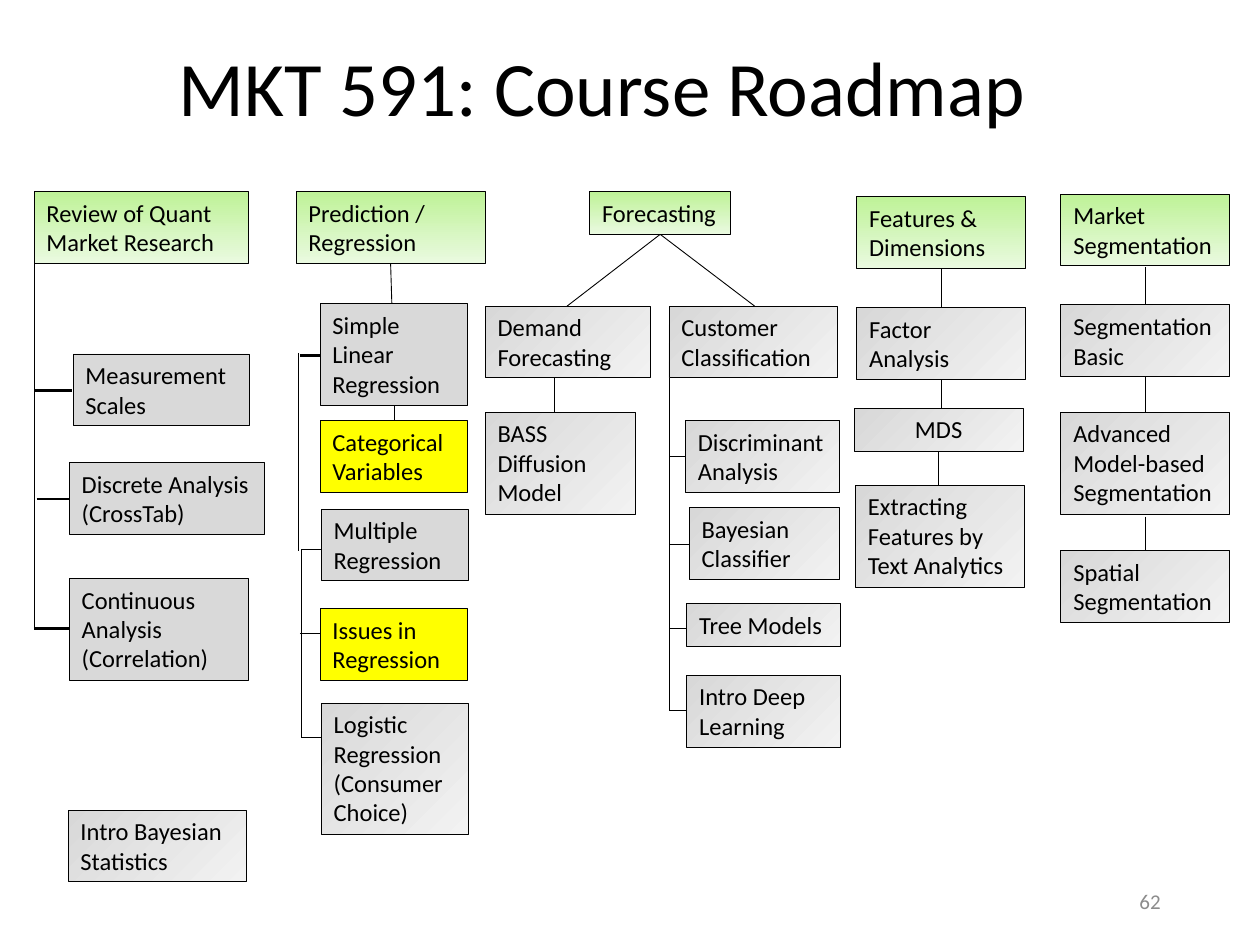
import pptx
import pptx.util
import pptx.dml.color
import pptx.enum.shapes
import pptx.enum.text
import pptx.oxml.ns
from lxml import etree

Inches = pptx.util.Inches
Pt = pptx.util.Pt
Align = pptx.enum.text.PP_ALIGN
Anchor = pptx.enum.text.MSO_ANCHOR

FONT = "Calibri"
COLORS = {
    "ink": "000000",
    "page": "8C8C8C",
    "flat": "D9D9D9",
    "mark": "FFFF00",
    "head": ("BEF297", "EAFAE0", 270),
    "soft": ("D8D8D8", "F2F2F2", 315),
}
HEIGHTS = {1: 0.34, 2: 0.57, 3: 0.81, 4: 1.04}

BOXES = [
    ("head", 0.27, 1.52, 1.7, 2, "Review of Quant Market Research"),
    ("flat", 0.58, 2.81, 1.4, 2, "Measurement Scales"),
    ("flat", 0.55, 3.67, 1.55, 2, "Discrete Analysis (CrossTab)"),
    ("flat", 0.55, 4.59, 1.42, 3, "Continuous Analysis (Correlation)"),
    ("soft", 0.54, 6.43, 1.42, 2, "Intro Bayesian Statistics"),
    ("head", 2.35, 1.52, 1.5, 2, "Prediction / Regression"),
    ("flat", 2.54, 2.41, 1.17, 3, "Simple Linear Regression"),
    ("mark", 2.54, 3.34, 1.17, 2, "Categorical Variables"),
    ("flat", 2.55, 4.04, 1.17, 2, "Multiple Regression"),
    ("mark", 2.54, 4.83, 1.17, 2, "Issues in Regression"),
    ("soft", 2.55, 5.58, 1.17, 4, "Logistic Regression (Consumer Choice)"),
    ("head", 4.68, 1.52, 1.12, 1, "Forecasting"),
    ("soft", 3.85, 2.43, 1.31, 2, "Demand Forecasting"),
    ("soft", 3.85, 3.27, 1.19, 3, "BASS Diffusion Model"),
    ("soft", 5.31, 2.43, 1.34, 2, "Customer Classification"),
    ("soft", 5.44, 3.34, 1.22, 2, "Discriminant Analysis"),
    ("soft", 5.47, 4.03, 1.19, 2, "Bayesian Classifier"),
    ("soft", 5.45, 4.79, 1.22, 1, "Tree Models"),
    ("soft", 5.45, 5.36, 1.22, 2, "Intro Deep Learning"),
    ("head", 6.8, 1.56, 1.34, 2, "Features & Dimensions"),
    ("soft", 6.8, 2.44, 1.34, 2, "Factor Analysis"),
    ("soft", 6.78, 3.24, 1.34, 1, "MDS"),
    ("soft", 6.79, 3.85, 1.34, 3, "Extracting Features by Text Analytics"),
    ("head", 8.42, 1.54, 1.34, 2, "Market Segmentation"),
    ("soft", 8.42, 2.42, 1.34, 2, "Segmentation Basic"),
    ("soft", 8.42, 3.27, 1.34, 3, "Advanced Model-based Segmentation"),
    ("soft", 8.42, 4.37, 1.34, 2, "Spatial Segmentation"),
]

TRUNKS = [
    (0.27, 2.09, 4.99), (2.37, 2.8, 4.37), (2.39, 4.36, 5.03),
    (2.39, 4.99, 5.86), (5.31, 2.77, 5.64), (3.13, 3.21, 3.34),
    (4.4, 2.99, 3.27), (7.47, 2.13, 2.44), (7.47, 3.01, 3.29),
    (7.45, 3.58, 3.87), (9.09, 2.12, 2.42), (9.09, 2.99, 3.27),
    (9.09, 4.1, 4.38),
]
TWIGS = [
    (0.28, 0.57, 3.1, 1.5), (0.29, 0.55, 3.96, 1.5), (0.27, 0.55, 4.99, 1.5),
    (2.38, 2.54, 2.82, 1.5), (2.39, 2.55, 4.36, 0.5), (2.38, 2.55, 5.03, 0.5),
    (2.4, 2.57, 5.85, 0.5), (5.31, 5.44, 3.62, 0.5), (5.31, 5.47, 4.32, 0.5),
    (5.31, 5.46, 4.99, 0.5), (5.31, 5.45, 5.64, 0.5),
]
SLANTS = [
    (5.24, 1.86, 4.5, 2.43), (5.24, 1.86, 5.99, 2.43),
    (3.1, 2.09, 3.11, 2.41),
]


def tint(name):
    return pptx.dml.color.RGBColor.from_string(COLORS[name])


def write(frame, text, size, color="ink", align=Align.LEFT):
    frame.word_wrap = True
    para = frame.paragraphs[0]
    para.alignment = align
    run = para.add_run()
    run.text = text
    run.font.name = FONT
    run.font.size = Pt(size)
    run.font.color.rgb = tint(color)
    return para


def label(slide, text, area, size, color="ink", align=Align.LEFT):
    frame = slide.shapes.add_textbox(*map(Inches, area)).text_frame
    frame.vertical_anchor = Anchor.MIDDLE
    return write(frame, text, size, color, align)


def paint(fill, kind):
    if isinstance(COLORS[kind], str):
        fill.solid()
        fill.fore_color.rgb = tint(kind)
        return
    start, end, angle = COLORS[kind]
    fill.gradient()
    fill.gradient_angle = angle
    for stop, shade in zip(fill.gradient_stops, (start, end)):
        stop.color.rgb = pptx.dml.color.RGBColor.from_string(shade)


def box(slide, kind, left, top, width, rows, text):
    area = map(Inches, (left, top, width, HEIGHTS[rows]))
    shape = slide.shapes.add_shape(
        pptx.enum.shapes.MSO_SHAPE.RECTANGLE, *area)
    shape.shadow.inherit = False
    paint(shape.fill, kind)
    shape.line.color.rgb = tint("ink")
    shape.line.width = Pt(0.5)
    frame = shape.text_frame
    frame.vertical_anchor = Anchor.TOP
    frame.auto_size = pptx.enum.text.MSO_AUTO_SIZE.SHAPE_TO_FIT_TEXT
    write(frame, text, 14, align=Align.CENTER if rows == 1 and text == "MDS" else Align.LEFT)


def link(slide, ends, width=0.5):
    line = slide.shapes.add_connector(
        pptx.enum.shapes.MSO_CONNECTOR.STRAIGHT, *map(Inches, ends))
    line.line.color.rgb = tint("ink")
    line.line.width = Pt(width)
    etree.SubElement(line._element.spPr, pptx.oxml.ns.qn("a:effectLst"))


def main():
    deck = pptx.Presentation()
    deck.slide_width = Inches(10)
    deck.slide_height = Inches(7.5)
    slide = deck.slides.add_slide(deck.slide_layouts[6])
    title = label(slide, "MKT 591: Course Roadmap", (1.32, 0, 7.27, 1.45), 44)
    title.line_spacing = 0.9
    label(slide, "62", (7.06, 6.95, 2.25, 0.4), 12, "page", Align.RIGHT)
    for x, top, end in TRUNKS:
        link(slide, (x, top, x, end))
    for left, right, y, width in TWIGS:
        link(slide, (left, y, right, y), width)
    for ends in SLANTS:
        link(slide, ends)
    for item in BOXES:
        box(slide, *item)
    deck.save("out.pptx")


if __name__ == "__main__":
    main()
